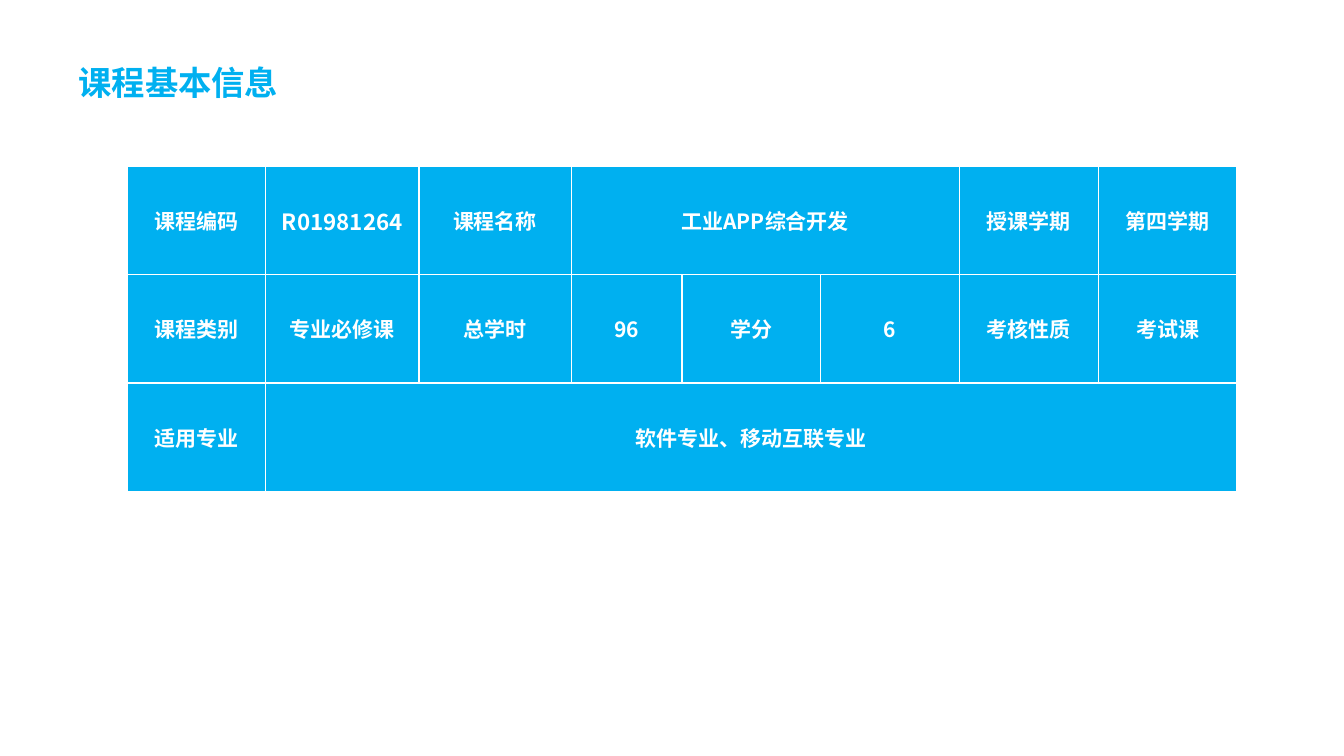
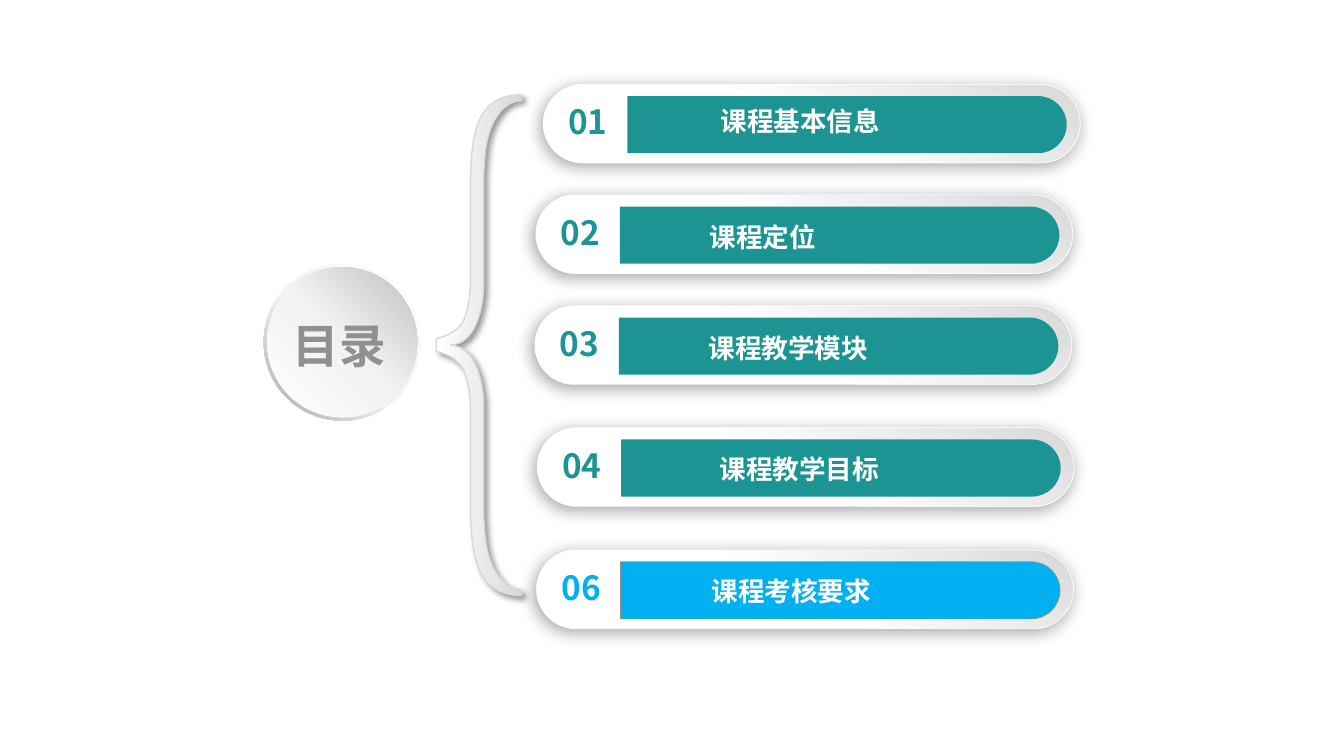
from dataclasses import dataclass

from lxml import etree
from pptx import Presentation
from pptx.dml.color import RGBColor
from pptx.enum.shapes import MSO_SHAPE
from pptx.enum.text import MSO_ANCHOR, MSO_AUTO_SIZE, PP_ALIGN
from pptx.oxml.ns import qn
from pptx.util import Emu, Pt

LEFT, CENTER = PP_ALIGN.LEFT, PP_ALIGN.CENTER
MIDDLE = MSO_ANCHOR.MIDDLE
NO_FIT = MSO_AUTO_SIZE.NONE
PILL, RING, DISC = MSO_SHAPE.ROUNDED_RECTANGLE, MSO_SHAPE.DONUT, MSO_SHAPE.OVAL


@dataclass(frozen=True)
class Theme:
    blue: str = "00B0F0"
    teal: str = "1C9494"
    white: str = "FFFFFF"
    black: str = "000000"
    gray: str = "909090"
    pale: str = "F2F2F2"
    silver: str = "D9D9D9"
    ash: str = "BFBFBF"
    steel: str = "A6A6A6"
    font: str = "Noto Sans CJK SC"
    title_font: str = "Roboto"
    title: float = 23.8
    contents: float = 33.3
    label: float = 19
    code: float = 16
    cell: float = 15


T = Theme()

prs = Presentation()
prs.slide_width, prs.slide_height = Emu(12192000), Emu(6858000)
UNIT = prs.slide_width / 80
TITLE_ONLY = prs.slide_layouts[5]


def grid(*lengths):
    return [Emu(round(n * UNIT)) for n in lengths]


def write(tf, text, size, color, align=LEFT, font=T.font):
    tf.word_wrap = True
    tf.auto_size = NO_FIT
    tf.vertical_anchor = MIDDLE
    tf.margin_top = tf.margin_bottom = 0
    p = tf.paragraphs[0]
    p.text = text
    p.alignment = align
    p.font.name = font
    p.font.size = Pt(size)
    p.font.bold = True
    p.font.color.rgb = RGBColor.from_string(color)
    rpr = p._p.pPr.find(qn("a:defRPr"))
    etree.SubElement(rpr, qn("a:ea"), typeface=T.font)


slide = prs.slides.add_slide(TITLE_ONLY)
title = slide.shapes.title
title.left, title.top, title.width, title.height = grid(4.08, 3.42, 26.4, 3)
write(title.text_frame, "课程基本信息", T.title, T.blue, font=T.title_font)

COLUMNS = [8.26, 9.12, 9.06, 6.6, 8.26, 8.26, 8.26, 8.26]
ROW = 6.45
ROWS = [
    ["课程编码", "R01981264", "课程名称", "工业APP综合开发", None, None, "授课学期", "第四学期"],
    ["课程类别", "专业必修课", "总学时", "96", "学分", "6", "考核性质", "考试课"],
    ["适用专业", "软件专业、移动互联专业"] + [None] * 6,
]
frame = slide.shapes.add_table(
    len(ROWS), len(COLUMNS), *grid(7.56, 9.9, sum(COLUMNS), ROW * len(ROWS)))
table = frame.table
table.first_row = table.horz_banding = False
for column, width in zip(table.columns, grid(*COLUMNS)):
    column.width = width
table.cell(0, 3).merge(table.cell(0, 5))
table.cell(2, 1).merge(table.cell(2, 7))
for i, texts in enumerate(ROWS):
    for j, text in enumerate(texts):
        cell = table.cell(i, j)
        cell.vertical_anchor = MIDDLE
        cell.margin_left = cell.margin_right = grid(0.72)[0]
        cell.margin_top = cell.margin_bottom = grid(0.36)[0]
        tcpr = cell._tc.get_or_add_tcPr()
        for side in ("lnL", "lnR", "lnT", "lnB"):
            ln = etree.SubElement(tcpr, qn("a:" + side), w=str(Pt(1)))
            solid = etree.SubElement(ln, qn("a:solidFill"))
            etree.SubElement(solid, qn("a:srgbClr"), val=T.white)
        cell.fill.solid()
        cell.fill.fore_color.rgb = RGBColor.from_string(T.blue)
        if text:
            size = T.code if text == "R01981264" else T.cell
            write(cell.text_frame, text, size, T.white, CENTER)

slide = prs.slides.add_slide(TITLE_ONLY)
shaded, curved = [], []

DISCS = [
    (RING, 15.7, 9.34, [(0, T.white), (55, T.pale), (100, T.steel)], 135),
    (DISC, 15.9, 8.94, [(0, T.white), (51, T.pale), (100, T.ash)], 315),
]
medal = slide.shapes.add_group_shape()
for kind, start, side, stops, angle in DISCS:
    sp = medal.shapes.add_shape(kind, *grid(start, start, side, side))
    if kind == RING:
        sp.adjustments[0] = 0.05
    shaded.append((sp, stops, angle, None, None))

AXIS = 20.54
HALF = [
    (25.98, 20.16),
    (26.76, 19.98), (27.3, 19.62), (27.6, 19.08),
    (27.84, 18.54), (28.02, 17.7), (28.02, 16.44),
    (28.02, 10.8),
    (28.02, 8.88), (28.26, 7.5), (28.74, 6.78),
    (29.22, 6), (30, 5.64), (31.02, 5.64),
    (31.02, 6),
    (29.88, 6), (28.98, 7.44), (28.86, 9.36),
    (28.8, 10.26),
    (28.8, 16.74),
    (28.8, 18.48), (28.26, 20.52), (26.82, 20.52),
]
HALF_STEPS = "CCLCCLCLLC"
mirrored = [(x, 2 * AXIS - y) for x, y in reversed(HALF)]
outline = [grid(*point) for point in HALF + mirrored]
builder = slide.shapes.build_freeform(*outline[0])
builder.add_line_segments(outline[1:], close=True)
brace = builder.convert_to_shape()
curved.append((brace, HALF_STEPS + "L" + HALF_STEPS[::-1]))
shaded.append((brace, [(0, T.white), (100, T.silver)], 0, (T.silver, 1), (40, 4, 3, 45)))

ITEMS = [
    ("01", "课程基本信息", 32.34, 5.02, 9.96, 0.92, T.teal, None),
    ("02", "课程定位", 31.9, 11.6, 9.76, 1.24, T.teal, None),
    ("03", "课程教学模块", 31.84, 18.2, 9.76, 1.24, T.teal, None),
    ("04", "课程教学目标", 31.98, 25.46, 10.26, 1.2, T.teal, None),
    ("06", "课程考核要求", 31.94, 32.74, 9.84, 1.18, T.blue, T.gray),
]
BAR_WIDTH, RADIUS = 26.16, 1.7
PULL = 0.45 * RADIUS
for number, label, x, y, label_dx, label_dy, color, edge in ITEMS:
    shapes = slide.shapes.add_group_shape().shapes
    sp = shapes.add_shape(PILL, *grid(x, y, 31.96, 4.68))
    sp.adjustments[0] = 0.5
    shaded.append((sp, [(45, T.white), (100, T.silver)], 300, (T.white, 0.5), (34, 12, 3, 135)))

    left, top = x + 5, y + 0.7
    right, bottom = left + BAR_WIDTH, top + 2 * RADIUS
    bend, middle = right - RADIUS, top + RADIUS
    outline = [grid(*point) for point in [
        (left, top), (bend, top),
        (right - PULL, top), (right, top + PULL), (right, middle),
        (right, bottom - PULL), (right - PULL, bottom), (bend, bottom),
        (left, bottom),
    ]]
    builder = shapes.build_freeform(*outline[0])
    builder.add_line_segments(outline[1:], close=True)
    bar = builder.convert_to_shape()
    curved.append((bar, "LCCL"))
    bar.shadow.inherit = False
    bar.fill.solid()
    bar.fill.fore_color.rgb = RGBColor.from_string(color)
    if edge:
        bar.line.color.rgb = RGBColor.from_string(edge)
        bar.line.width = Pt(0.5)
    else:
        bar.line.fill.background()

    sp = shapes.add_textbox(*grid(x + 0.9, y + 0.72, 3.8, 3))
    write(sp.text_frame, number, T.title, color)
    sp = shapes.add_textbox(*grid(x + label_dx, y + label_dy, 11.4, 2.52))
    write(sp.text_frame, label, T.label, T.white)

for sp, steps in curved:
    lines = sp._element.spPr.iter(qn("a:lnTo"))
    lines = iter(list(lines))
    for step in steps:
        line = next(lines)
        if step == "C":
            line.tag = qn("a:cubicBezTo")
            for extra in (next(lines), next(lines)):
                line.append(extra[0])
                extra.getparent().remove(extra)

for sp, stops, angle, line, shadow in shaded:
    sp.fill.gradient()
    sp.fill.gradient_angle = (360 - angle) % 360
    spPr = sp._element.spPr
    gs_list = spPr.find(qn("a:gradFill")).find(qn("a:gsLst"))
    for gs in list(gs_list):
        gs_list.remove(gs)
    for position, color in stops:
        gs = etree.SubElement(gs_list, qn("a:gs"), pos=str(position * 1000))
        etree.SubElement(gs, qn("a:srgbClr"), val=color)
    if line:
        sp.line.color.rgb = RGBColor.from_string(line[0])
        sp.line.width = Pt(line[1])
    else:
        sp.line.fill.background()
    sp.shadow.inherit = False
    if shadow:
        alpha, blur, distance, direction = shadow
        outer = etree.SubElement(
            spPr.find(qn("a:effectLst")), qn("a:outerShdw"),
            blurRad=str(Pt(blur)), dist=str(Pt(distance)),
            dir=str(direction * 60000), algn="ctr", rotWithShape="0")
        tint = etree.SubElement(outer, qn("a:srgbClr"), val=T.black)
        etree.SubElement(tint, qn("a:alpha"), val=str(alpha * 1000))

title = slide.shapes.title
title.left, title.top, title.width, title.height = grid(15.3, 18.84, 9.78, 3.36)
write(title.text_frame, "目录", T.contents, T.gray, CENTER)
slide.shapes._spTree.append(title._element)

prs.save("out.pptx")
